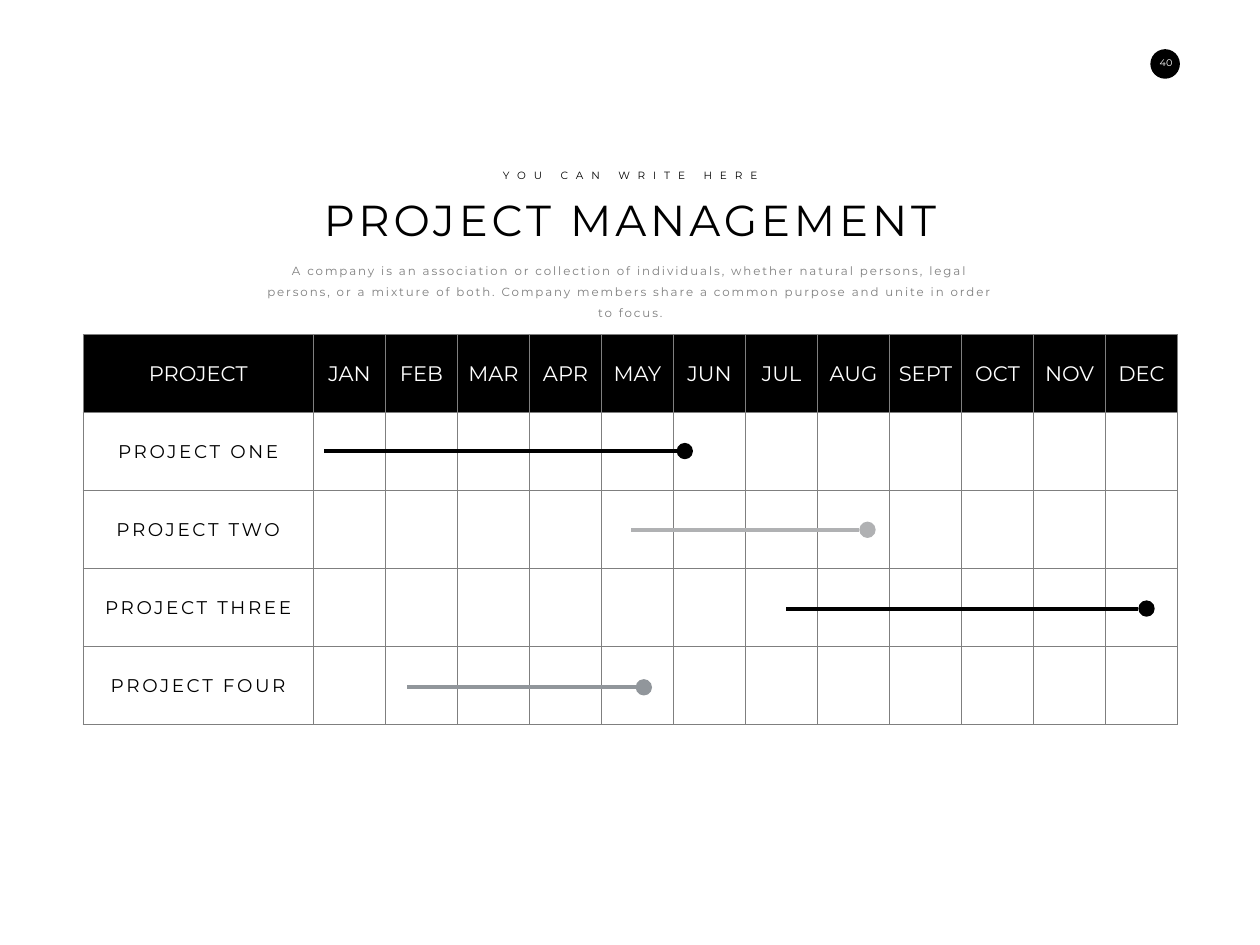
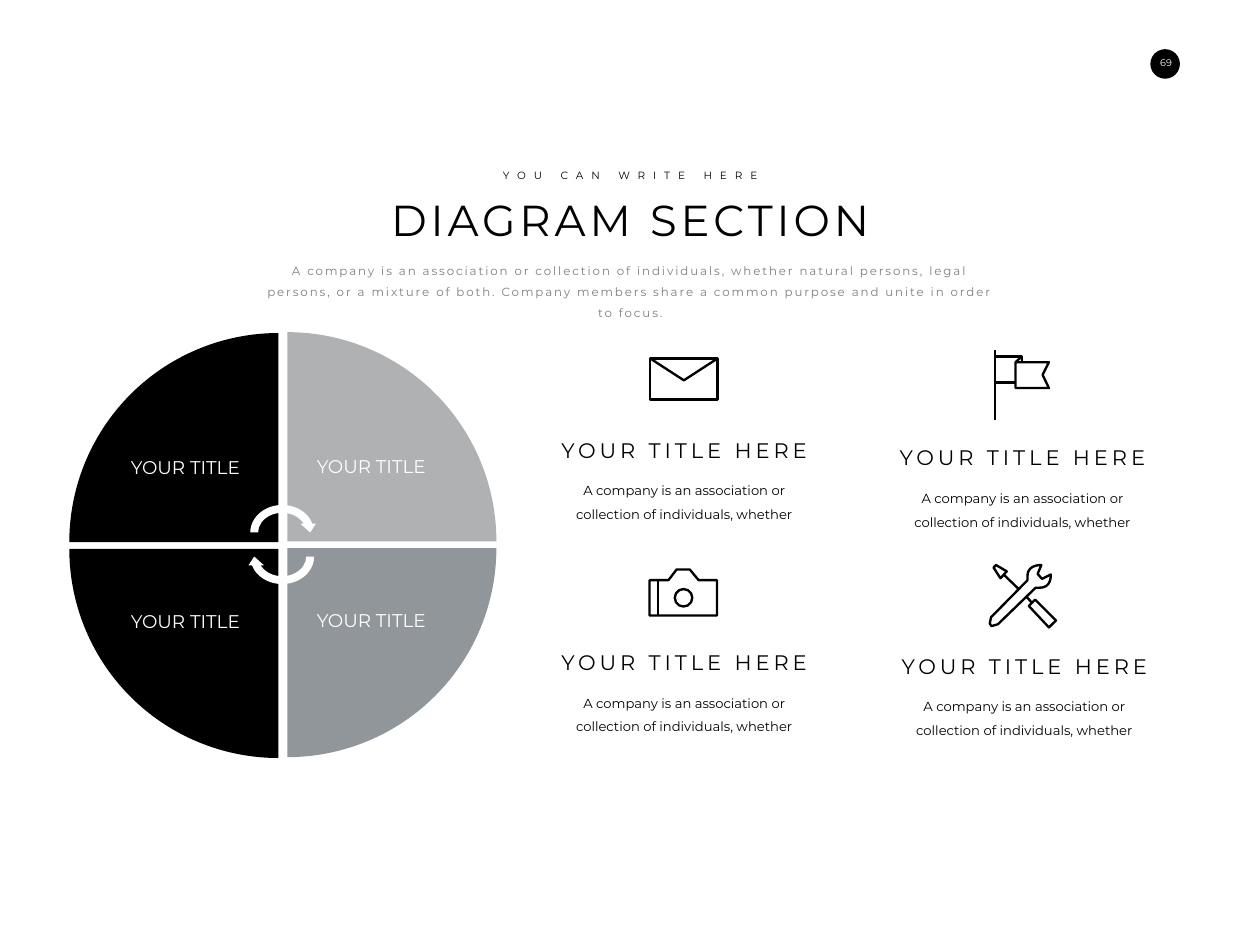
import pptx
import pptx.dml.color
import pptx.enum.shapes
import pptx.enum.text
import pptx.oxml
import pptx.oxml.ns
import pptx.util

Pt = pptx.util.Pt
SHAPE = pptx.enum.shapes.MSO_SHAPE
ANCHOR = pptx.enum.text.MSO_ANCHOR

FONT = "Montserrat"
BLACK, WHITE, GRAY = "000000", "FFFFFF", "7F7F7F"
SILVER, SLATE = "B0B1B3", "91969B"
ICON_LINE = 2.7

EYEBROW = "YOU CAN WRITE HERE"
INTRO = ("A company is an association or collection of individuals, whether natural "
         "persons, legal persons, or a mixture of both. Company members share a common "
         "purpose and unite in order to focus.")
FEATURE_TITLE = "YOUR TITLE HERE"
FEATURE_BODY = "A company is an association or collection of individuals, whether"

MONTHS = ["JAN", "FEB", "MAR", "APR", "MAY", "JUN",
          "JUL", "AUG", "SEPT", "OCT", "NOV", "DEC"]
# Name, bar start from the first month column, bar length, colour
PROJECTS = [
    ("PROJECT ONE", 11.8, 403.2, BLACK),
    ("PROJECT TWO", 362.4, 261.4, SILVER),
    ("PROJECT THREE", 539.5, 403.2, BLACK),
    ("PROJECT FOUR", 106.8, 261.4, SLATE),
]


# Basic helpers
def color(hex_string):
    return pptx.dml.color.RGBColor.from_string(hex_string)


def write(text_frame, text, size, hex_color, spacing=0, line_spacing=None,
          anchor=ANCHOR.TOP):
    text_frame.text = text
    text_frame.word_wrap = True
    text_frame.vertical_anchor = anchor
    paragraph = text_frame.paragraphs[0]
    paragraph.alignment = pptx.enum.text.PP_ALIGN.CENTER
    if line_spacing:
        paragraph.line_spacing = line_spacing
    for run in paragraph.runs:
        run.font.name = FONT
        run.font.size = Pt(size)
        run.font.color.rgb = color(hex_color)
        if spacing:
            run._r.get_or_add_rPr().set("spc", str(round(spacing * 100)))


def add_text(shapes, box, text, size, hex_color, **style):
    text_box = shapes.add_textbox(*map(Pt, box))
    write(text_box.text_frame, text, size, hex_color, **style)
    return text_box


def add_filled(shapes, kind, box, hex_color, rotation=0):
    shape = shapes.add_shape(kind, *map(Pt, box))
    shape.shadow.inherit = False
    shape.fill.solid()
    shape.fill.fore_color.rgb = color(hex_color)
    shape.line.fill.background()
    shape.rotation = rotation


def outline(shape):
    shape.shadow.inherit = False
    shape.fill.background()
    shape.line.color.rgb = color(BLACK)
    shape.line.width = Pt(ICON_LINE)


def add_line(shapes, start, end, hex_color=BLACK, width=ICON_LINE):
    line = shapes.add_connector(pptx.enum.shapes.MSO_CONNECTOR.STRAIGHT,
                                *map(Pt, start + end))
    line.line.color.rgb = color(hex_color)
    line.line.width = Pt(width)
    properties = line._element.spPr
    properties.append(properties.makeelement(pptx.oxml.ns.qn("a:effectLst"), {}))


def add_path(shapes, points, close=False):
    points = [(Pt(x), Pt(y)) for x, y in points]
    builder = shapes.build_freeform(*points[0], scale=1.0)
    builder.add_line_segments(points[1:], close=close)
    outline(builder.convert_to_shape())


def bezier(p0, p1, p2, p3, steps=10):
    weights = [((1 - t) ** 3, 3 * t * (1 - t) ** 2, 3 * t * t * (1 - t), t ** 3)
               for t in (step / steps for step in range(steps + 1))]
    return [tuple(sum(w * p[axis] for w, p in zip(row, (p0, p1, p2, p3)))
                  for axis in (0, 1)) for row in weights]


# Parts shared by the slides
def add_header(slide, title, left=287.3, top=190, width=866.2):
    placeholder = slide.shapes.title
    placeholder.left, placeholder.top = Pt(left), Pt(top + 26.7)
    placeholder.width, placeholder.height = Pt(width), Pt(67)
    write(placeholder.text_frame, title, 49.5, BLACK, spacing=4.5)
    placeholder.text_frame.auto_size = pptx.enum.text.MSO_AUTO_SIZE.NONE
    add_text(slide.shapes, (left, top, width, 22), EYEBROW, 12, BLACK, spacing=9)
    add_text(slide.shapes, (left, top + 99.4, width, 56), INTRO, 13.5, GRAY,
             spacing=2.2, line_spacing=1.5)


def add_page_badge(slide, number, left=1314.7, top=56.2, size=33.8):
    add_filled(slide.shapes, SHAPE.OVAL, (left, top, size, size), BLACK)
    label = add_text(slide.shapes, (left, top, size + 2, size - 3), number, 11, WHITE,
                     anchor=ANCHOR.MIDDLE)
    frame = label.text_frame
    frame.margin_left = frame.margin_right = frame.margin_top = frame.margin_bottom = 0


def new_slide(presentation, title, number):
    slide = presentation.slides.add_slide(presentation.slide_layouts[5])
    add_page_badge(slide, number)
    add_header(slide, title)
    return slide


# Project schedule
def add_borders(cell):
    properties = cell._tc.get_or_add_tcPr()
    for index, side in enumerate(("lnL", "lnR", "lnT", "lnB")):
        properties.insert(index, pptx.oxml.parse_xml(
            f'<a:{side} {pptx.oxml.ns.nsdecls("a")} w="12700"><a:solidFill>'
            f'<a:srgbClr val="{GRAY}"/></a:solidFill></a:{side}>'))


def add_schedule_table(slide, left, top, name_width, month_width, row_height):
    rows = [["PROJECT"] + MONTHS]
    rows += [[project[0]] + [""] * len(MONTHS) for project in PROJECTS]
    widths = [name_width] + [month_width] * len(MONTHS)
    table = slide.shapes.add_table(len(rows), len(widths), Pt(left), Pt(top),
                                   Pt(sum(widths)), Pt(row_height * len(rows))).table
    table.horz_banding = False
    for column, width in zip(table.columns, widths):
        column.width = Pt(width)
    for row_index, texts in enumerate(rows):
        table.rows[row_index].height = Pt(row_height)
        for column_index, text in enumerate(texts):
            cell = table.cell(row_index, column_index)
            cell.margin_left = cell.margin_right = Pt(5.4)
            cell.margin_top = cell.margin_bottom = Pt(2.7)
            cell.vertical_anchor = ANCHOR.MIDDLE
            if row_index == 0:
                cell.fill.solid()
                cell.fill.fore_color.rgb = color(BLACK)
                write(cell.text_frame, text, 24, WHITE, anchor=ANCHOR.MIDDLE)
            else:
                cell.fill.background()
                if text:
                    write(cell.text_frame, text, 21, BLACK, spacing=3,
                          anchor=ANCHOR.MIDDLE)
            add_borders(cell)


def add_bar(slide, left, middle, length, hex_color, dot=18.7):
    shapes = slide.shapes.add_group_shape().shapes
    end = left + length
    add_filled(shapes, SHAPE.OVAL, (end, middle - dot / 2, dot, dot), hex_color)
    add_line(shapes, (end, middle), (left, middle), hex_color, 4.5)


def build_schedule_slide(presentation):
    slide = new_slide(presentation, "PROJECT MANAGEMENT", "40")
    left, top, name_width = 94.8, 382.3, 263.5
    add_schedule_table(slide, left, top, name_width, 82.29, 89.15)
    for index, (_, start, length, hex_color) in enumerate(PROJECTS):
        add_bar(slide, left + name_width + start, top + 133.2 + 90 * index,
                length, hex_color)


# Four-part wheel
def add_wheel(slide, left, top):
    shapes = slide.shapes.add_group_shape().shapes
    wedge, label = 239, 169
    # Column, row, rotation, colour; the left half sits slightly lower
    wedges = [(0, 0, 0, BLACK), (1, 0, 90, SILVER), (0, 1, 270, BLACK), (1, 1, 180, SLATE)]
    for column, row, rotation, hex_color in wedges:
        x = left + 249.1 * column
        y = top + 246.7 * row + (0 if column else 1)
        add_filled(shapes, SHAPE.PIE_WEDGE, (x, y, wedge, wedge), hex_color, rotation)
        label_x = x + (11.5 if column else 48.2)
        label_y = y + (0 if row else wedge - label)
        add_text(shapes, (label_x, label_y, label, label), "YOUR TITLE", 21, WHITE,
                 line_spacing=0.9, anchor=ANCHOR.MIDDLE)
    for offset, rotation in ((193, 0), (220.4, 180)):
        add_filled(shapes, SHAPE.CIRCULAR_ARROW, (left + 202.3, top + offset, 82, 72),
                   WHITE, rotation)


# Icons, each drawn from the corner of its feature box
def shifted(left, top, points):
    return [(left + x, top + y) for x, y in points]


def draw_envelope(shapes, left, top):
    add_path(shapes, shifted(left, top, [
        (187.9, 68.4), (110.9, 68.4), (110.9, 21.6), (187.9, 21.6)]), close=True)
    add_path(shapes, shifted(left, top, [(110.9, 21.6), (149.4, 46.6), (187.9, 21.6)]))


def draw_flag(shapes, left, top):
    add_line(shapes, *shifted(left, top, [(118.1, 2.9), (118.1, 82.8)]))
    add_path(shapes, shifted(left, top, [
        (149, 10.8), (141.8, 17.3), (141.8, 46.8), (180, 46.8), (172.8, 31.7),
        (180, 17.3), (141.8, 17.3)]))
    add_path(shapes, shifted(left, top, [
        (141.8, 40.3), (118.1, 40.3), (118.1, 10.8), (149, 10.8), (149, 17.3)]))


def draw_camera(shapes, left, top):
    add_path(shapes, shifted(left, top, [
        (166.3, 32.4), (156.2, 20.2), (141.1, 20.2), (131.8, 32.4), (110.2, 32.4),
        (110.2, 72.7), (187.2, 72.7), (187.2, 32.4)]), close=True)
    outline(shapes.add_shape(SHAPE.OVAL, Pt(left + 139), Pt(top + 42.5), Pt(20), Pt(20)))
    add_line(shapes, *shifted(left, top, [(120, 32.4), (120, 72.7)]))


def draw_tools(shapes, left, top):
    # Screwdriver
    add_line(shapes, *shifted(left, top, [(152.6, 47.5), (158.4, 54)]))
    add_path(shapes, shifted(left, top, [
        (154.8, 57.6), (162, 50.4), (185.8, 74.2), (177.8, 82.1)]), close=True)
    add_path(shapes, shifted(left, top, [
        (122.4, 25.9), (129.6, 18), (117.4, 10.8), (114.5, 13.7)]), close=True)
    add_line(shapes, *shifted(left, top, [(143.3, 38.2), (126, 21.6)]))
    # Wrench
    jaw = bezier((169.2, 10.8), (157, 10.8), (153.4, 17.3), (153.4, 23))
    back = bezier((167, 36.7), (173.5, 36.7), (180, 33.8), (180, 21.6))
    handle = [(153.4, 28.1), (111.6, 70.6), (110.2, 77.8), (112.3, 80.6),
              (119.5, 78.5), (162.7, 36.7)]
    add_path(shapes, shifted(left, top, [(169.9, 26.6), (164.9, 20.9)] + jaw + handle + back),
             close=True)


def add_feature(slide, left, top, draw_icon, width=299.5):
    shapes = slide.shapes.add_group_shape().shapes
    draw_icon(shapes, left, top)
    add_text(shapes, (left, top + 108, width, 37), FEATURE_TITLE, 24, BLACK, spacing=4.5)
    add_text(shapes, (left + 8, top + 151.2, width - 16, 62), FEATURE_BODY, 15, BLACK,
             line_spacing=1.5)


def build_diagram_slide(presentation):
    slide = new_slide(presentation, "DIAGRAM SECTION", "69")
    add_wheel(slide, 79.2, 379.6)
    for left, top, draw_icon in [(632.2, 388.1, draw_envelope), (1018.8, 396.7, draw_flag),
                                 (632.2, 630.7, draw_camera), (1021, 635, draw_tools)]:
        add_feature(slide, left, top, draw_icon)


def main():
    presentation = pptx.Presentation()
    presentation.slide_width, presentation.slide_height = Pt(1440), Pt(1080)
    build_schedule_slide(presentation)
    build_diagram_slide(presentation)
    presentation.save("out.pptx")


if __name__ == "__main__":
    main()
